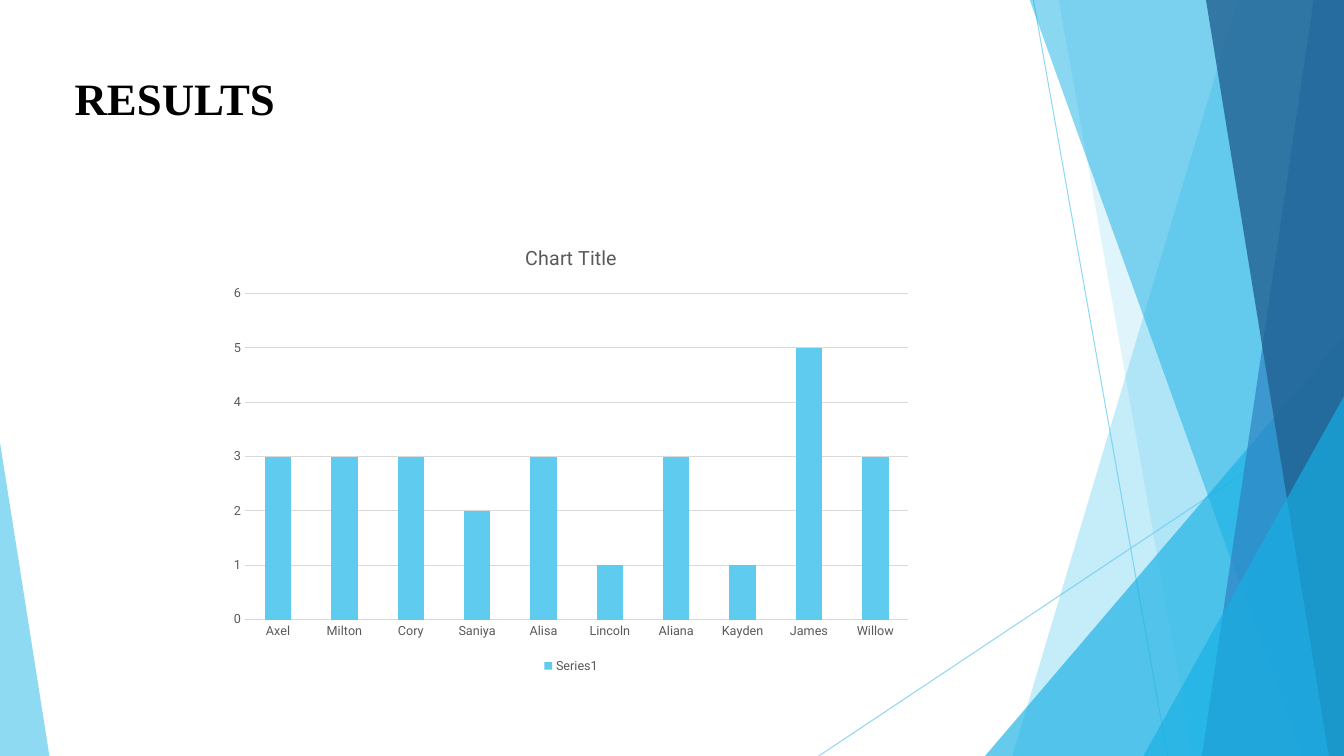
from dataclasses import dataclass

from lxml.etree import SubElement
from pptx import Presentation
from pptx.chart.data import CategoryChartData as Data
from pptx.dml.color import RGBColor as Rgb
from pptx.enum.chart import XL_CHART_TYPE as Kind
from pptx.enum.chart import XL_LEGEND_POSITION as Side
from pptx.enum.chart import XL_TICK_MARK as Tick
from pptx.enum.shapes import MSO_CONNECTOR as Link
from pptx.enum.shapes import MSO_SHAPE as Form
from pptx.enum.text import MSO_ANCHOR as Anchor
from pptx.enum.text import MSO_AUTO_SIZE as Fit
from pptx.enum.text import PP_ALIGN as Align
from pptx.oxml.ns import qn
from pptx.util import Inches, Pt


@dataclass(frozen=True)
class Theme:
    sky: str = "5FCBEF"
    cyan: str = "17B0E4"
    blue: str = "2E83C3"
    navy: str = "226292"
    black: str = "000000"
    gray: str = "595959"
    grid: str = "D9D9D9"
    serif: str = "Times New Roman"
    sans: str = "Roboto"
    head: float = 32
    title: float = 14
    label: float = 9
    hair: float = 0.75


@dataclass(frozen=True)
class Ray:
    start: tuple[float, float]
    end: tuple[float, float]


@dataclass(frozen=True)
class Band:
    top: float
    foot: float
    color: str
    alpha: int


@dataclass(frozen=True)
class Wedge:
    left: float
    top: float
    width: float
    apex: int
    color: str
    alpha: int


THEME = Theme()
WIDTH, HEIGHT, EDGE = 13.33, 7.5, -0.01
RAYS = [Ray((10.25, 0), (11.58, HEIGHT)), Ray((WIDTH, 4.03), (8.12, HEIGHT))]
FACETS = [
    Band(12.28, 10.04, THEME.sky, 36),
    Band(10.5, 11.83, THEME.sky, 20),
    Wedge(9.77, 3.33, 3.56, 1, THEME.cyan, 66),
    Band(10.21, 12.91, THEME.cyan, 50),
    Band(13.03, 11.92, THEME.blue, 70),
    Band(11.96, 13.18, THEME.navy, 80),
    Wedge(11.34, 3.93, 1.99, 1, THEME.cyan, 66),
    Wedge(0, 4.39, 0.49, 0, THEME.sky, 70),
]
SCORES = {
    "Axel": 3, "Milton": 3, "Cory": 3, "Saniya": 2, "Alisa": 3,
    "Lincoln": 1, "Aliana": 3, "Kayden": 1, "James": 5, "Willow": 3,
}


def fade(fill, color: str, alpha: int) -> None:
    fill.solid()
    fill.fore_color.rgb = Rgb.from_string(color)


def tint(shape, color: str, alpha: int) -> None:
    part = shape.line if hasattr(shape, "begin_x") else shape
    fade(part.fill, color, alpha)
    for tone in shape.element.spPr.iter(qn("a:srgbClr")):
        SubElement(tone, qn("a:alpha"), val=str(alpha * 1000))


def style(font, face: str, size: float, color: str, bold: bool = False) -> None:
    font.name, font.size, font.bold = face, Pt(size), bold
    font.color.rgb = Rgb.from_string(color)


def draw_ray(slide, ray: Ray) -> None:
    ends = [Inches(n) for n in ray.start + ray.end]
    line = slide.shapes.add_connector(Link.STRAIGHT, *ends)
    line.line.width = Pt(THEME.hair)
    tint(line, THEME.sky, 70)
    SubElement(line.element.spPr, qn("a:effectLst"))


def draw_facet(slide, facet: Band | Wedge) -> None:
    if isinstance(facet, Band):
        path = slide.shapes.build_freeform(Inches(facet.top), Inches(EDGE))
        rest = [(WIDTH, EDGE), (WIDTH, HEIGHT), (facet.foot, HEIGHT)]
        path.add_line_segments([(Inches(x), Inches(y)) for x, y in rest])
        shape = path.convert_to_shape()
    else:
        box = (facet.left, facet.top, facet.width, HEIGHT - facet.top)
        shape = slide.shapes.add_shape(
            Form.ISOSCELES_TRIANGLE, *[Inches(n) for n in box])
        shape.adjustments[0] = facet.apex
    shape.shadow.inherit = False
    shape.line.fill.background()
    tint(shape, facet.color, facet.alpha)


def draw_title(slide, text: str) -> None:
    title = slide.shapes.title
    title.left, title.top = Inches(0.64), Inches(0.65)
    title.width, title.height = Inches(7.59), Inches(0.64)
    frame = title.text_frame
    frame.text = text
    frame.vertical_anchor = Anchor.TOP
    frame.auto_size = Fit.SHAPE_TO_FIT_TEXT
    para = frame.paragraphs[0]
    para.alignment = Align.LEFT
    style(para.font, THEME.serif, THEME.head, THEME.black, True)


def draw_chart(slide, scores: dict[str, int]) -> None:
    data = Data()
    data.categories = list(scores)
    data.add_series("Series1", list(scores.values()))
    box = [Inches(n) for n in (2.18, 2.25, 6.97, 4.47)]
    chart = slide.shapes.add_chart(Kind.COLUMN_CLUSTERED, *box, data).chart
    style(chart.font, THEME.sans, THEME.label, THEME.gray)

    chart.has_title = True
    frame = chart.chart_title.text_frame
    frame.text = "Chart Title"
    style(frame.paragraphs[0].font, THEME.sans, THEME.title, THEME.gray)
    chart.chart_title.include_in_layout = False

    chart.has_legend = True
    chart.legend.position = Side.BOTTOM
    chart.legend.include_in_layout = False
    style(chart.legend.font, THEME.sans, THEME.label, THEME.gray)

    for axis in (chart.category_axis, chart.value_axis):
        axis.major_tick_mark = axis.minor_tick_mark = Tick.NONE
        axis.format.line.fill.background()
        style(axis.tick_labels.font, THEME.sans, THEME.label, THEME.gray)
    scale = chart.value_axis
    scale.minimum_scale, scale.maximum_scale, scale.major_unit = 0, 6, 1
    grid = scale.major_gridlines.format.line
    grid.width = Pt(THEME.hair)
    grid.color.rgb = Rgb.from_string(THEME.grid)

    plot = chart.plots[0]
    plot.gap_width, plot.vary_by_categories = 150, False
    fill = plot.series[0].format.fill
    fill.solid()
    fill.fore_color.rgb = Rgb.from_string(THEME.sky)


def main() -> None:
    deck = Presentation()
    deck.slide_width, deck.slide_height = Inches(WIDTH), Inches(HEIGHT)
    slide = deck.slides.add_slide(deck.slide_layouts[5])
    for ray in RAYS:
        draw_ray(slide, ray)
    for facet in FACETS:
        draw_facet(slide, facet)
    draw_title(slide, "RESULTS")
    draw_chart(slide, SCORES)
    deck.save("out.pptx")


if __name__ == "__main__":
    main()
